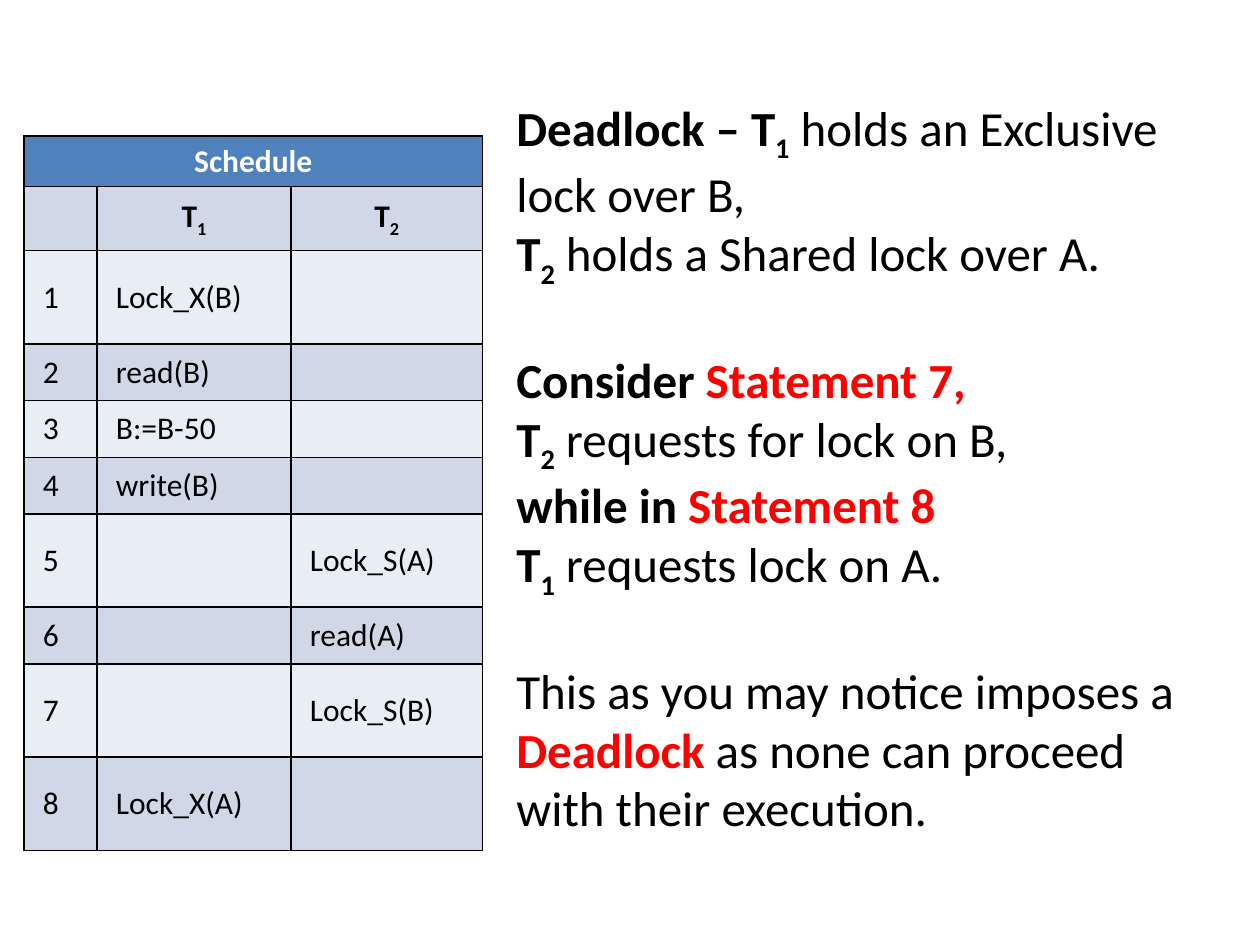
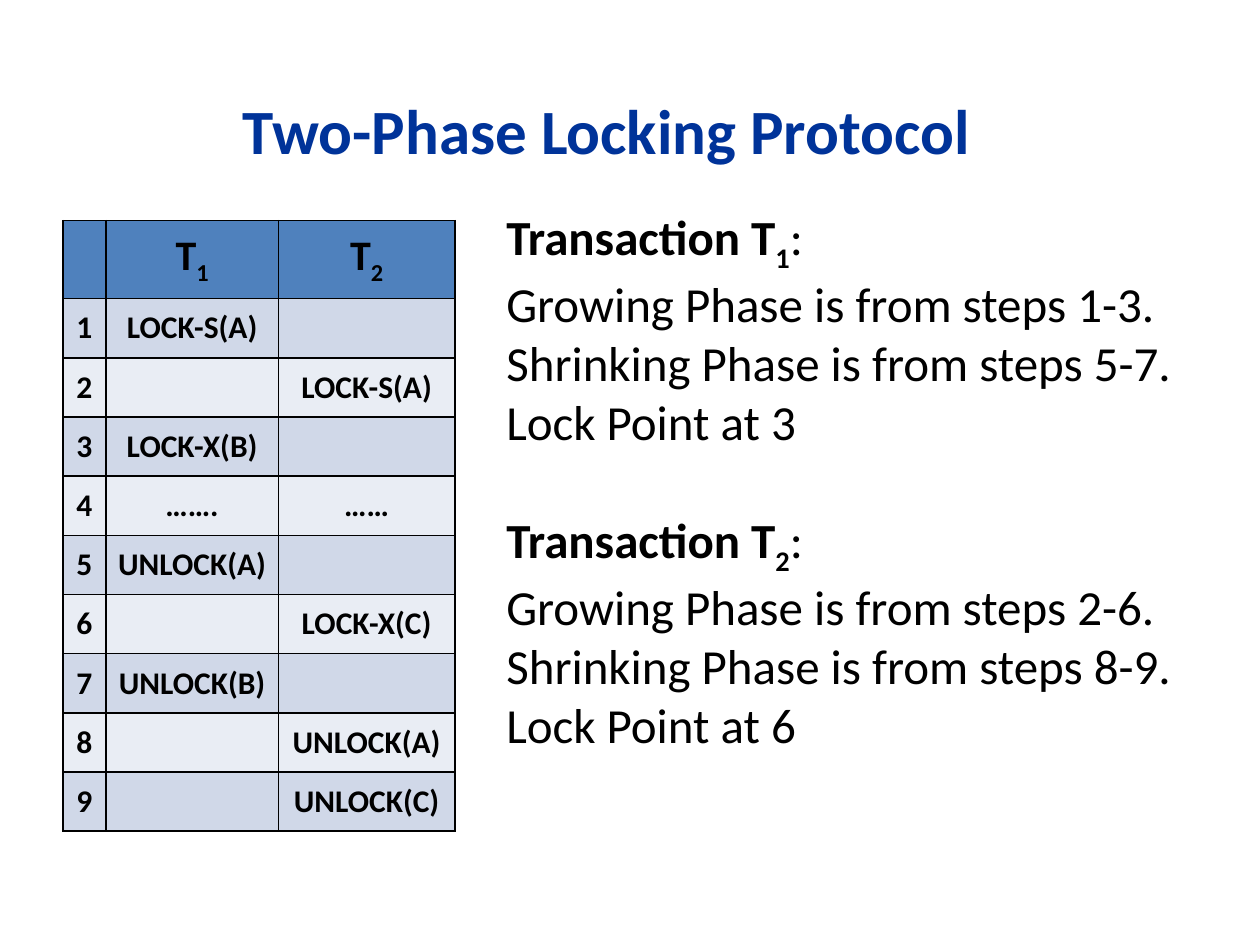
from lxml import etree
from pptx import Presentation
from pptx import util as u
from pptx.dml.color import RGBColor
from pptx.enum import text
from pptx.oxml import ns

PX = 9144  # 100 px to the inch
FONT = "Calibri"
COLORS = {
    "black": "000000",
    "white": "FFFFFF",
    "red": "FF0000",
    "title": "003399",
    "header": "4F81BD",
    "dark band": "D0D8E8",
    "light band": "E9EDF4",
}
LINE_GAP = 34  # height of one text line, in points

# Transaction names with a subscript number
T1 = [("T", "bold"), ("1", "bold sub")]
T2 = [("T", "bold"), ("2", "bold sub")]


def write_spans(para, spans, size, align=text.PP_ALIGN.LEFT):
    """Fill a paragraph with (words, style) spans; a style may hold bold, sub and a colour."""
    para.alignment = align
    para.font.name = FONT
    para.font.size = u.Pt(size)
    for words, style in spans:
        styles = style.split()
        span = para.add_run()
        span.text = words
        span.font.bold = "bold" in styles
        color = next((name for name in styles if name in COLORS), "black")
        span.font.color.rgb = RGBColor.from_string(COLORS[color])
        if "sub" in styles:
            span._r.get_or_add_rPr().set("baseline", "-25000")


def add_text(page, left, top, width, height, paragraphs, size):
    """Add a text box; None in the paragraphs stands for a gap of one line."""
    box = page.shapes.add_textbox(left * PX, top * PX, width * PX, height * PX)
    frame = box.text_frame
    frame.word_wrap = True
    frame.vertical_anchor = text.MSO_ANCHOR.MIDDLE
    para, gap = frame.paragraphs[0], 0
    for spans in paragraphs:
        if spans is None:
            gap = LINE_GAP
            continue
        if para.runs:
            para = frame.add_paragraph()
        para.space_before = u.Pt(gap)
        write_spans(para, spans, size)
        gap = 0


deck = Presentation()
deck.slide_width, deck.slide_height = 1000 * PX, 750 * PX
deadlock_page, locking_page = [deck.slides.add_slide(deck.slide_layouts[6]) for _ in range(2)]

# Explanations beside the tables
add_text(deadlock_page, 400, 83, 550, 575, [
    [("Deadlock – ", "bold"), *T1, (" holds an Exclusive lock over B,", "")],
    [*T2, (" holds a Shared lock over A.", "")],
    None,
    [("Consider ", "bold"), ("Statement 7,", "bold red")],
    [*T2, (" requests for lock on B,", "")],
    [("while in ", "bold"), ("Statement 8", "bold red")],
    [*T1, (" requests lock on A.", "")],
    None,
    [("This as you may notice imposes a ", ""), ("Deadlock", "bold red"),
     (" as none can proceed with their execution.", "")],
], 28)

phases = []
for name, growing, shrinking, lock_point in ((T1, "1-3", "5-7", 3), (T2, "2-6", "8-9", 6)):
    phases += [
        None,
        [("Transaction ", "bold"), *name, (":", "")],
        [(f"Growing Phase is from steps {growing}.", "")],
        [(f"Shrinking Phase is from steps {shrinking}.", "")],
        [(f"Lock Point at {lock_point}", "")],
    ]
add_text(locking_page, 392, 92, 592, 578, phases[1:], 28)
add_text(locking_page, 183, 67, 605, 71, [[("Two-Phase Locking Protocol", "bold title")]], 36)

# Schedules: (statement in T1, statement in T2), numbered from 1
deadlock_steps = [
    ("Lock_X(B)", ""), ("read(B)", ""), ("B:=B-50", ""), ("write(B)", ""),
    ("", "Lock_S(A)"), ("", "read(A)"), ("", "Lock_S(B)"), ("Lock_X(A)", ""),
]
locking_steps = [
    ("LOCK-S(A)", ""), ("", "LOCK-S(A)"), ("LOCK-X(B)", ""), ("…….", "……"),
    ("UNLOCK(A)", ""), ("", "LOCK-X(C)"), ("UNLOCK(B)", ""),
    ("", "UNLOCK(A)"), ("", "UNLOCK(C)"),
]
schedules = [
    {
        "page": deadlock_page, "at": (19, 108), "columns": (58, 154, 152),
        "heights": [40, 51] + [74 if "Lock" in a + b else 45 for a, b in deadlock_steps],
        "banner": [[[("Schedule", "bold white")], [], []]],
        "name size": 18, "steps": deadlock_steps, "style": "",
        "align": text.PP_ALIGN.LEFT, "insets": (15, 7),
    },
    {
        "page": locking_page, "at": (50, 175), "columns": (34, 137, 140),
        "heights": [62] + [47] * len(locking_steps),
        "banner": [],
        "name size": 24, "steps": locking_steps, "style": "bold",
        "align": text.PP_ALIGN.CENTER, "insets": (8, 8),
    },
]

for schedule in schedules:
    head_rows = schedule["banner"] + [[[], T1, T2]]
    rows = head_rows + [
        [[(words, schedule["style"])] if words else [] for words in (str(number), *step)]
        for number, step in enumerate(schedule["steps"], 1)
    ]
    left, top = schedule["at"]
    columns, heights = schedule["columns"], schedule["heights"]
    table = schedule["page"].shapes.add_table(
        len(rows), len(columns), left * PX, top * PX, sum(columns) * PX, sum(heights) * PX).table
    table.first_row = table.horz_banding = False
    for column, width in zip(table.columns, columns):
        column.width = width * PX
    for row, height in zip(table.rows, heights):
        row.height = height * PX
    if schedule["banner"]:
        table.cell(0, 0).merge(table.cell(0, len(columns) - 1))

    for row_index, row in enumerate(rows):
        is_head = row_index < len(head_rows)
        fill = "header" if row_index == 0 else ("light band", "dark band")[row_index % 2]
        for column_index, spans in enumerate(row):
            cell = table.cell(row_index, column_index)
            # Borders come before the fill in the cell properties
            properties = cell._tc.get_or_add_tcPr()
            for side in ("a:lnL", "a:lnR", "a:lnT", "a:lnB"):
                line = etree.SubElement(properties, ns.qn(side), w=str(u.Pt(1)))
                solid = etree.SubElement(line, ns.qn("a:solidFill"))
                etree.SubElement(solid, ns.qn("a:srgbClr"), val=COLORS["black"])
            cell.fill.solid()
            cell.fill.fore_color.rgb = RGBColor.from_string(COLORS[fill])
            if not spans:
                continue
            across, down = (8, 8) if is_head else schedule["insets"]
            if spans not in (T1, T2) and is_head:
                down = 4
            cell.margin_left = cell.margin_right = across * PX
            cell.margin_top = cell.margin_bottom = down * PX
            cell.vertical_anchor = text.MSO_ANCHOR.MIDDLE
            size = schedule["name size"] if is_head else 18
            align = text.PP_ALIGN.CENTER if is_head else schedule["align"]
            write_spans(cell.text_frame.paragraphs[0], spans, size, align)

deck.save("out.pptx")
